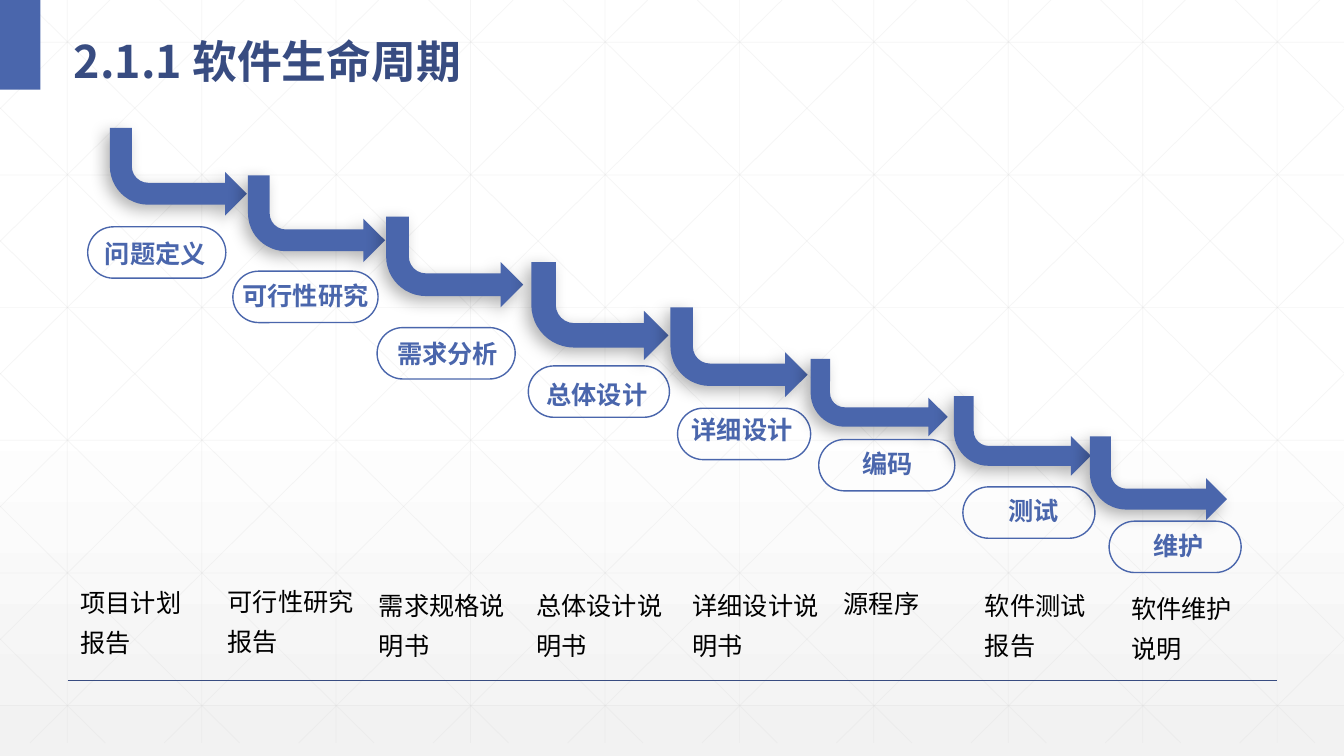
from dataclasses import dataclass

from lxml.etree import SubElement
from pptx import Presentation
from pptx.dml.color import RGBColor
from pptx.enum.shapes import MSO_CONNECTOR, MSO_SHAPE
from pptx.enum.text import MSO_ANCHOR, MSO_AUTO_SIZE, PP_ALIGN
from pptx.oxml.ns import qn
from pptx.util import Inches, Pt

FONT = "Noto Sans CJK SC"
BLUE, NAVY, GRID, BLACK = "4A66AC", "384C81", "D9D9D9", "000000"
WIDTH, HEIGHT = 13.33, 7.5
GRID_BOTTOM, GRID_STEP, DIAGONAL_RUN = 7.37, 4 / 3, 7.46
ARROW_WIDTH, PILL_HEIGHT = 1.36, 0.51
LABEL_WIDTH, LABEL_HEIGHT = 1.34, 0.3


@dataclass
class Phase:
    name: str
    arrow: tuple[float, float, float]  # left, top, height
    pill: tuple[float, float, float]  # left, top, width
    label: tuple[float, float]  # left, top
    document: str
    document_box: tuple[float, float, float, float]


PHASES = [
    Phase("问题定义", (1.09, 1.27, 0.87), (0.87, 2.25, 1.37), (0.87, 2.36),
          "项目计划报告", (0.7, 5.69, 1.32, 0.89)),
    Phase("可行性研究", (2.46, 1.74, 0.86), (2.31, 2.69, 1.44), (2.36, 2.78),
          "可行性研究报告", (2.16, 5.68, 1.45, 0.89)),
    Phase("需求分析", (3.83, 2.15, 0.9), (3.74, 3.25, 1.37), (3.77, 3.36),
          "需求规格说明书", (3.66, 5.72, 1.45, 0.89)),
    Phase("总体设计", (5.27, 2.6, 0.97), (5.24, 3.63, 1.4), (5.25, 3.76),
          "总体设计说明书", (5.22, 5.72, 1.45, 0.89)),
    Phase("详细设计", (6.65, 3.05, 0.89), (6.72, 4.05, 1.32), (6.69, 4.11),
          "详细设计说明书", (6.77, 5.72, 1.45, 0.89)),
    Phase("编码", (8.04, 3.56, 0.77), (8.12, 4.36, 1.35), (8.13, 4.45),
          "源程序", (8.27, 5.7, 1.13, 0.49)),
    Phase("测试", (9.46, 3.93, 0.79), (9.55, 4.83, 1.31), (9.58, 4.91),
          "软件测试报告", (9.67, 5.72, 1.34, 0.89)),
    Phase("维护", (10.81, 4.33, 0.83), (11, 5.17, 1.31), (11.02, 5.26),
          "软件维护说明", (11.12, 5.75, 1.22, 0.89)),
]


def rgb(color: str) -> RGBColor:
    return RGBColor.from_string(color)


def write(tf, text: str, *, size: float = 18, color: str = BLACK,
          bold: bool = False, align=PP_ALIGN.LEFT, spacing: float = 1.0) -> None:
    tf.word_wrap = True
    p = tf.paragraphs[0]
    p.alignment = align
    p.line_spacing = spacing
    r = p.add_run()
    r.text = text
    r.font.name = FONT
    r.font.size = Pt(size)
    r.font.bold = bold
    r.font.color.rgb = rgb(color)
    SubElement(r.font._element, qn("a:ea")).set("typeface", FONT)


def add_text(slide, box: tuple, text: str, *, inset: bool = True, **style) -> None:
    tf = slide.shapes.add_textbox(*map(Inches, box)).text_frame
    if not inset:
        tf.margin_left = tf.margin_right = tf.margin_top = tf.margin_bottom = 0
    write(tf, text, **style)
    tf.auto_size = MSO_AUTO_SIZE.SHAPE_TO_FIT_TEXT


def add_line(slide, start: tuple, end: tuple, color: str, width: float,
             opacity: int = 100) -> None:
    line = slide.shapes.add_connector(
        MSO_CONNECTOR.STRAIGHT, *map(Inches, (*start, *end)))
    line.line.color.rgb = rgb(color)
    line.line.width = Pt(width)
    if opacity < 100:
        srgb = line._element.spPr.find(".//" + qn("a:srgbClr"))
        SubElement(srgb, qn("a:alpha")).set("val", str(opacity * 1000))
    SubElement(line._element.spPr, qn("a:effectLst"))


def add_shape(slide, kind, box: tuple, *, fill: str = "", line: str = ""):
    sp = slide.shapes.add_shape(kind, *map(Inches, box))
    sp.shadow.inherit = False
    if fill:
        sp.fill.solid()
        sp.fill.fore_color.rgb = rgb(fill)
    else:
        sp.fill.background()
    if line:
        sp.line.color.rgb = rgb(line)
        sp.line.width = Pt(1)
    else:
        sp.line.fill.background()
    return sp


def add_arrow(slide, left: float, top: float, height: float) -> None:
    """Add a bent arrow, flipped to run down and right, with a soft shadow."""
    sp = add_shape(slide, MSO_SHAPE.BENT_ARROW,
                   (left, top, ARROW_WIDTH, height), fill=BLUE)
    spPr = sp._element.spPr
    spPr.xfrm.set("flipV", "1")
    shadow = SubElement(spPr.find(qn("a:effectLst")), qn("a:outerShdw"),
                        blurRad=str(Pt(12)), dist=str(Pt(5)), dir="8100000",
                        algn="tr", rotWithShape="0")
    srgb = SubElement(shadow, qn("a:srgbClr"), val=BLACK)
    SubElement(srgb, qn("a:alpha"), val="30000")


def add_diagonal(slide, top_x: float, direction: int) -> None:
    """Add a diagonal from top_x on the top edge, cut off at the slide's sides."""
    def point(x: float) -> tuple[float, float]:
        x = min(max(x, 0), WIDTH)
        return x, abs(x - top_x) * GRID_BOTTOM / DIAGONAL_RUN

    add_line(slide, point(top_x), point(top_x + direction * DIAGONAL_RUN),
             GRID, 0.5, 25)


def add_backdrop(slide) -> None:
    fill = slide.background.fill
    fill.gradient()
    fill.gradient_angle = 270
    for stop, position, color in zip(fill.gradient_stops, (0.53, 1), ("FFFFFF", "F2F2F2")):
        stop.position = position
        stop.color.rgb = rgb(color)
    for i in range(10):
        x = GRID_STEP * (i + 0.5)
        add_line(slide, (x, 0), (x, GRID_BOTTOM), GRID, 0.5, 25)
    for i in range(6):
        y = 0.42 + 1.316 * i
        add_line(slide, (0, y), (WIDTH, y), GRID, 0.5, 25)
    for i in range(15):
        add_diagonal(slide, 0.25 + GRID_STEP * (i - 5), 1)
        add_diagonal(slide, 1.09 + GRID_STEP * i, -1)
    add_line(slide, (0.67, 6.75), (12.67, 6.75), NAVY, 1)
    add_shape(slide, MSO_SHAPE.RECTANGLE, (0, 0, 0.4, 0.89), fill=BLUE)


def add_title(slide, text: str) -> None:
    title = slide.shapes.title
    title.left, title.top, title.width, title.height = map(
        Inches, (0.63, 0.16, 11.52, 0.73))
    title.text_frame.vertical_anchor = MSO_ANCHOR.MIDDLE
    write(title.text_frame, text, size=32, color=NAVY, bold=True, spacing=1.3)
    slide.shapes._spTree.append(title._element)


def add_phase(slide, phase: Phase) -> None:
    add_arrow(slide, *phase.arrow)
    add_text(slide, (*phase.label, LABEL_WIDTH, LABEL_HEIGHT), phase.name,
             inset=False, color=BLUE, bold=True, align=PP_ALIGN.CENTER)
    pill = add_shape(slide, MSO_SHAPE.ROUNDED_RECTANGLE,
                     (*phase.pill, PILL_HEIGHT), line=BLUE)
    pill.adjustments[0] = 0.5
    add_text(slide, phase.document_box, phase.document, spacing=1.3)


def main() -> None:
    prs = Presentation()
    prs.slide_width, prs.slide_height = Inches(WIDTH), Inches(HEIGHT)
    slide = prs.slides.add_slide(prs.slide_layouts[5])
    add_backdrop(slide)
    add_title(slide, "2.1.1 软件生命周期")
    for phase in PHASES:
        add_phase(slide, phase)
    prs.save("out.pptx")


if __name__ == "__main__":
    main()
